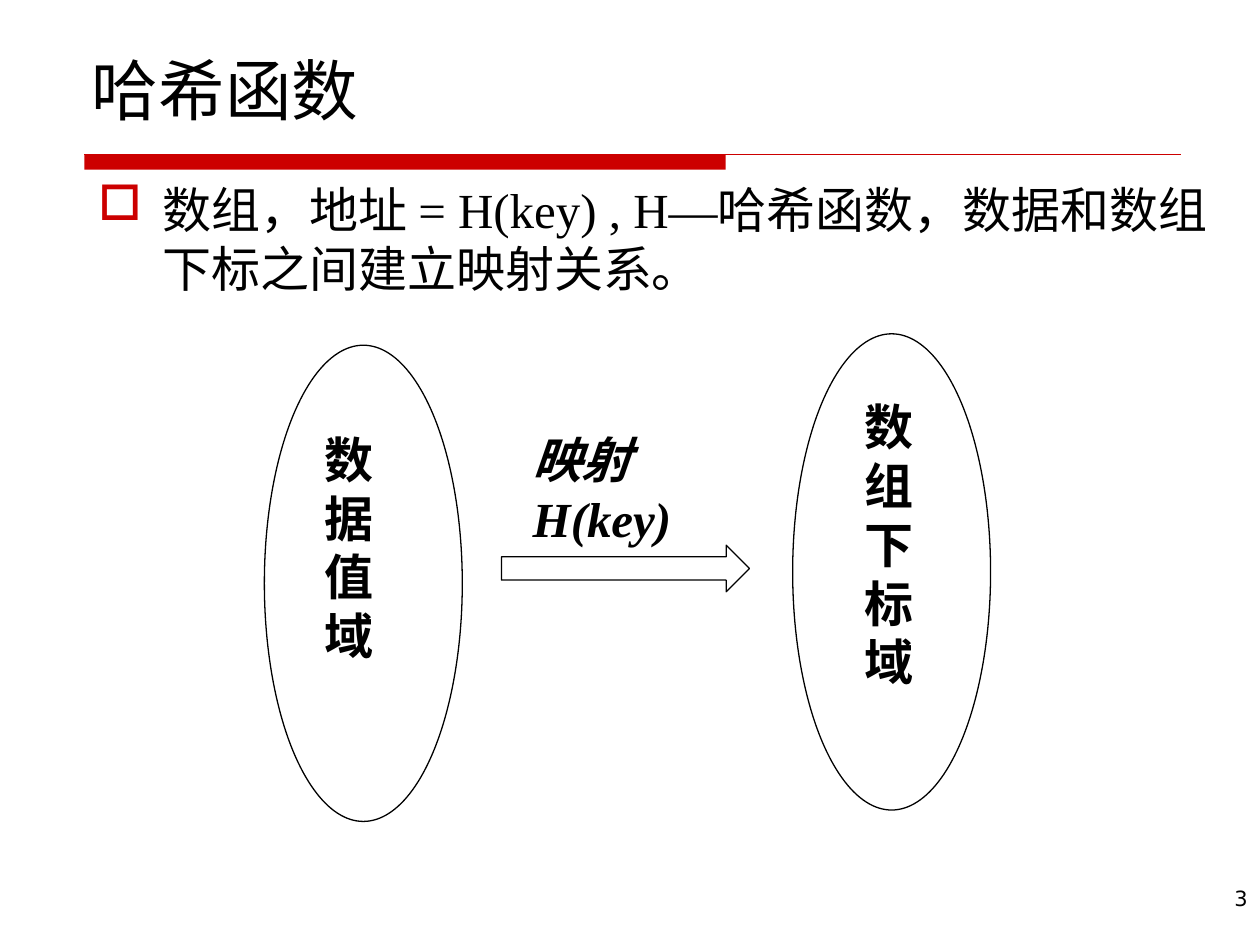
from lxml import etree
from pptx import Presentation
from pptx.dml.color import RGBColor
from pptx.enum.dml import MSO_THEME_COLOR
from pptx.enum.shapes import MSO_CONNECTOR, MSO_SHAPE
from pptx.enum.text import MSO_ANCHOR, MSO_AUTO_SIZE, PP_ALIGN
from pptx.oxml.ns import qn
from pptx.util import Cm, Pt

BLACK = RGBColor(0, 0, 0)
RED = RGBColor(0xCC, 0, 0)
SERIF, SANS = "Times New Roman", "DejaVu Sans"
OVAL, ARROW, RECT = MSO_SHAPE.OVAL, MSO_SHAPE.RIGHT_ARROW, MSO_SHAPE.RECTANGLE
LINE = MSO_CONNECTOR.STRAIGHT
LEFT, RIGHT = PP_ALIGN.LEFT, PP_ALIGN.RIGHT
BOTTOM, FIXED = MSO_ANCHOR.BOTTOM, MSO_AUTO_SIZE.NONE


def style(para, size, name=SERIF, bold=False, italic=False):
    """Set the font of a whole paragraph."""
    font = para.font
    font.size, font.name = Pt(size), name
    font.bold, font.italic = bold, italic
    font.color.rgb = BLACK


def add_text(slide, box, text):
    """Add a wrapping text box and return its paragraph."""
    frame = slide.shapes.add_textbox(*map(Cm, box)).text_frame
    frame.word_wrap = True
    para = frame.paragraphs[0]
    para.text = text
    return para


def add_outline(slide, kind, box):
    """Add an unfilled shape with a thin black outline."""
    shape = slide.shapes.add_shape(kind, *map(Cm, box))
    shape.shadow.inherit = False
    shape.fill.background()
    shape.line.color.rgb = BLACK
    shape.line.width = Pt(0.75)


def add_title(slide, box, text):
    """Move and format the title placeholder."""
    title = slide.shapes.title
    title.left, title.top, title.width, title.height = map(Cm, box)
    frame = title.text_frame
    frame.text = text
    frame.auto_size, frame.vertical_anchor = FIXED, BOTTOM
    para = frame.paragraphs[0]
    para.alignment = LEFT
    style(para, 38)


def add_rule(slide, box):
    """Draw a thick bar that runs on as a thin line."""
    left, top, width, height = map(Cm, box)
    bar = slide.shapes.add_shape(RECT, left, top, int(width * 0.585), height)
    bar.shadow.inherit = False
    bar.fill.solid()
    bar.fill.fore_color.rgb = RED
    bar.line.fill.background()
    rule = slide.shapes.add_connector(LINE, left, top, left + width, top)
    rule.line.color.rgb = RED
    rule.line.width = Pt(0.75)
    etree.SubElement(rule._element.spPr, qn("a:effectLst"))


def add_body(slide, box, text):
    """Add the statement with a red square bullet."""
    para = add_text(slide, box, text)
    props = para._p.get_or_add_pPr()
    props.set("marL", str(Cm(1.3)))
    props.set("indent", str(Cm(-1.3)))
    tint = etree.SubElement(props, qn("a:buClr"))
    etree.SubElement(tint, qn("a:srgbClr"), val=str(RED))
    etree.SubElement(props, qn("a:buChar"), char="□")
    style(para, 28)


def add_domain(slide, box, text, shift):
    """Draw an oval holding a label one character wide."""
    left, top, width, height = box
    add_outline(slide, OVAL, box)
    across, down = shift
    label = (left + across, top + down, 2.34, height * 0.6)
    style(add_text(slide, label, text), 28, bold=True)


def add_map(slide, box, text):
    """Draw the mapping arrow below its caption."""
    left, top, width, height = box
    tall = 0.94
    add_outline(slide, ARROW, (left, top + height - tall, width, tall))
    label = (left + 0.38, top, 3.99, 2.64)
    style(add_text(slide, label, text), 28, bold=True, italic=True)


def add_number(slide, box, text):
    """Add the page number at the right."""
    para = add_text(slide, box, text)
    para.alignment = RIGHT
    style(para, 12, SANS)


def main():
    """Build and save the slide."""
    deck = Presentation()
    deck.slide_width, deck.slide_height = Cm(25.4), Cm(19.05)
    slide = deck.slides.add_slide(deck.slide_layouts[5])
    add_rule(slide, (1.7, 3.12, 22.1, 0.3))
    add_number(slide, (19.96, 17.73, 5.44, 1.32), "3")
    add_title(slide, (1.6, 0.84, 22.23, 1.88), "哈希函数")
    add_body(slide, (1.73, 3.5, 22.99, 2.69),
             "数组，地址 = H(key) , H—哈希函数，数据和数组下标之间建立映射关系。")
    add_domain(slide, (15.98, 6.73, 3.99, 9.6), "数组下标域", (1.19, 1.14))
    add_domain(slide, (5.33, 6.96, 3.99, 9.6), "数据值域", (0.97, 1.57))
    add_map(slide, (10.11, 8.53, 5, 3.4), "映射H(key)")
    deck.save("out.pptx")


if __name__ == "__main__":
    main()
